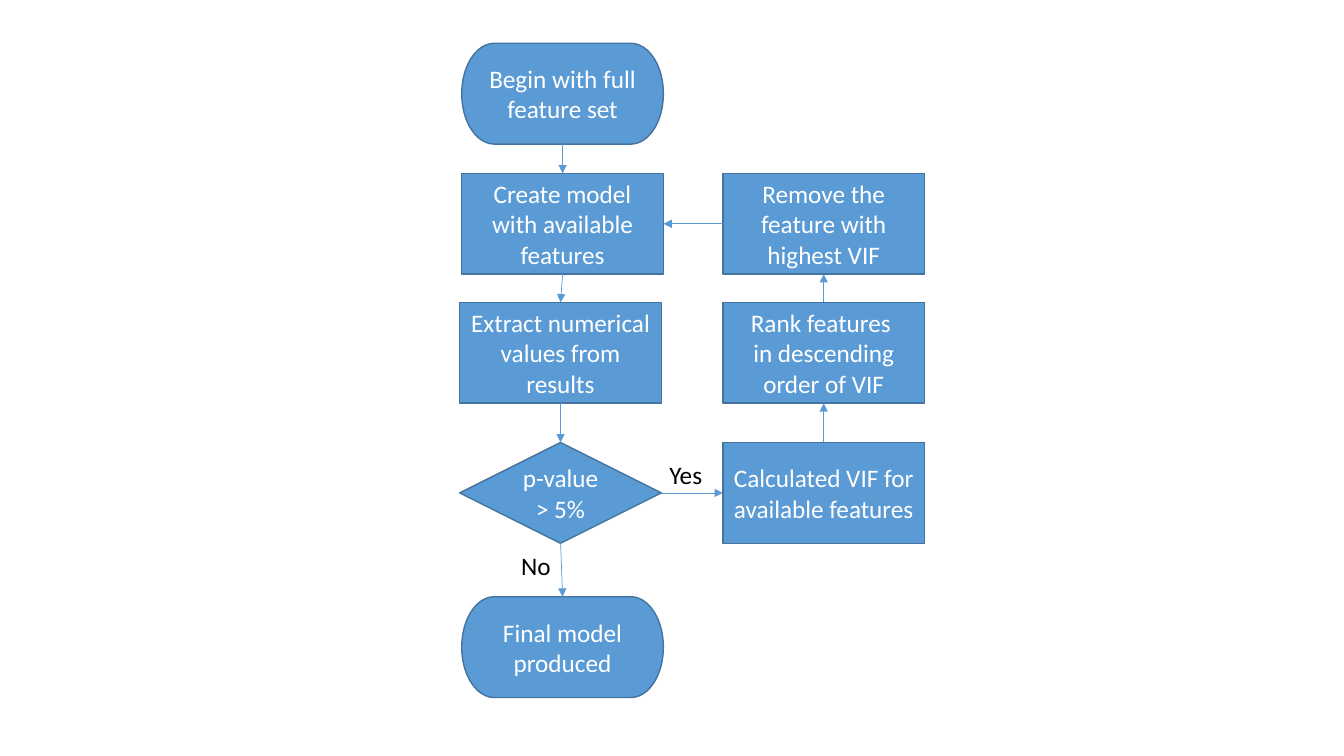
from lxml import etree
from pptx import Presentation
from pptx.dml.color import RGBColor
from pptx.enum.shapes import MSO_CONNECTOR, MSO_SHAPE
from pptx.enum.text import MSO_ANCHOR, MSO_AUTO_SIZE, PP_ALIGN
from pptx.oxml.ns import qn
from pptx.util import Inches, Pt

TERMINATOR = MSO_SHAPE.FLOWCHART_TERMINATOR
PROCESS = MSO_SHAPE.FLOWCHART_PROCESS
DECISION = MSO_SHAPE.FLOWCHART_DECISION
STRAIGHT = MSO_CONNECTOR.STRAIGHT
CENTER = PP_ALIGN.CENTER
MIDDLE = MSO_ANCHOR.MIDDLE
FIT_SHAPE = MSO_AUTO_SIZE.SHAPE_TO_FIT_TEXT

# Connection sites of the flowchart shapes
TOP, LEFT, BOTTOM, RIGHT = range(4)

# Grid in inches
STEP_WIDTH, STEP_HEIGHT = 2, 1
MAIN, MAIN_OFFSET, LOOP = 4.58, 4.56, 7.17
ROWS = [0.43, 1.72, 3, 4.39, 5.92]


def color(hex_value):
    return RGBColor.from_string(hex_value)


def write_text(text_frame, text, hex_value):
    paragraph = text_frame.paragraphs[0]
    paragraph.text = text
    for run in paragraph.runs:
        run.font.name = "Calibri"
        run.font.size = Pt(18)
        run.font.color.rgb = color(hex_value)
    return paragraph


presentation = Presentation()
presentation.slide_width = Inches(13.33)
presentation.slide_height = Inches(7.5)
slide = presentation.slides.add_slide(presentation.slide_layouts[6])

# Steps: name, shape, column, row, text
steps = [
    ("begin", TERMINATOR, MAIN, 0, "Begin with full feature set"),
    ("create", PROCESS, MAIN, 1, "Create model with available features"),
    ("extract", PROCESS, MAIN_OFFSET, 2, "Extract numerical values from results"),
    ("decide", DECISION, MAIN_OFFSET, 3, "p-value > 5%"),
    ("final", TERMINATOR, MAIN, 4, "Final model produced"),
    ("remove", PROCESS, LOOP, 1, "Remove the feature with highest VIF"),
    ("rank", PROCESS, LOOP, 2, "Rank features \nin descending order of VIF"),
    ("calculate", PROCESS, LOOP, 3, "Calculated VIF for available features"),
]
step_shapes = {}
for name, kind, column, row, text in steps:
    shape = slide.shapes.add_shape(
        kind, Inches(column), Inches(ROWS[row]), Inches(STEP_WIDTH), Inches(STEP_HEIGHT)
    )
    shape.shadow.inherit = False
    shape.fill.solid()
    shape.fill.fore_color.rgb = color("5B9BD5")
    shape.line.color.rgb = color("43739E")
    shape.line.width = Pt(1)
    shape.text_frame.word_wrap = True
    shape.text_frame.vertical_anchor = MIDDLE
    write_text(shape.text_frame, text, "FFFFFF").alignment = CENTER
    step_shapes[name] = shape

# Arrows glued to the steps
arrows = [
    ("begin", BOTTOM, "create", TOP),
    ("create", BOTTOM, "extract", TOP),
    ("extract", BOTTOM, "decide", TOP),
    ("decide", BOTTOM, "final", TOP),
    ("decide", RIGHT, "calculate", LEFT),
    ("calculate", TOP, "rank", BOTTOM),
    ("rank", TOP, "remove", BOTTOM),
    ("remove", LEFT, "create", RIGHT),
]
for source, source_site, target, target_site in arrows:
    connector = slide.shapes.add_connector(STRAIGHT, 0, 0, 0, 0)
    connector.begin_connect(step_shapes[source], source_site)
    connector.end_connect(step_shapes[target], target_site)
    connector.line.color.rgb = color("5B9BD5")
    connector.line.width = Pt(0.5)
    etree.SubElement(connector.line._get_or_add_ln(), qn("a:tailEnd"), type="triangle")
    etree.SubElement(connector._element.spPr, qn("a:effectLst"))

# Branch labels
for text, left, top, width in [("No", 5.07, 5.41, 0.5), ("Yes", 6.54, 4.51, 0.53)]:
    label = slide.shapes.add_textbox(Inches(left), Inches(top), Inches(width), Inches(0.4))
    label.text_frame.word_wrap = False
    label.text_frame.auto_size = FIT_SHAPE
    write_text(label.text_frame, text, "000000")

presentation.save("out.pptx")
